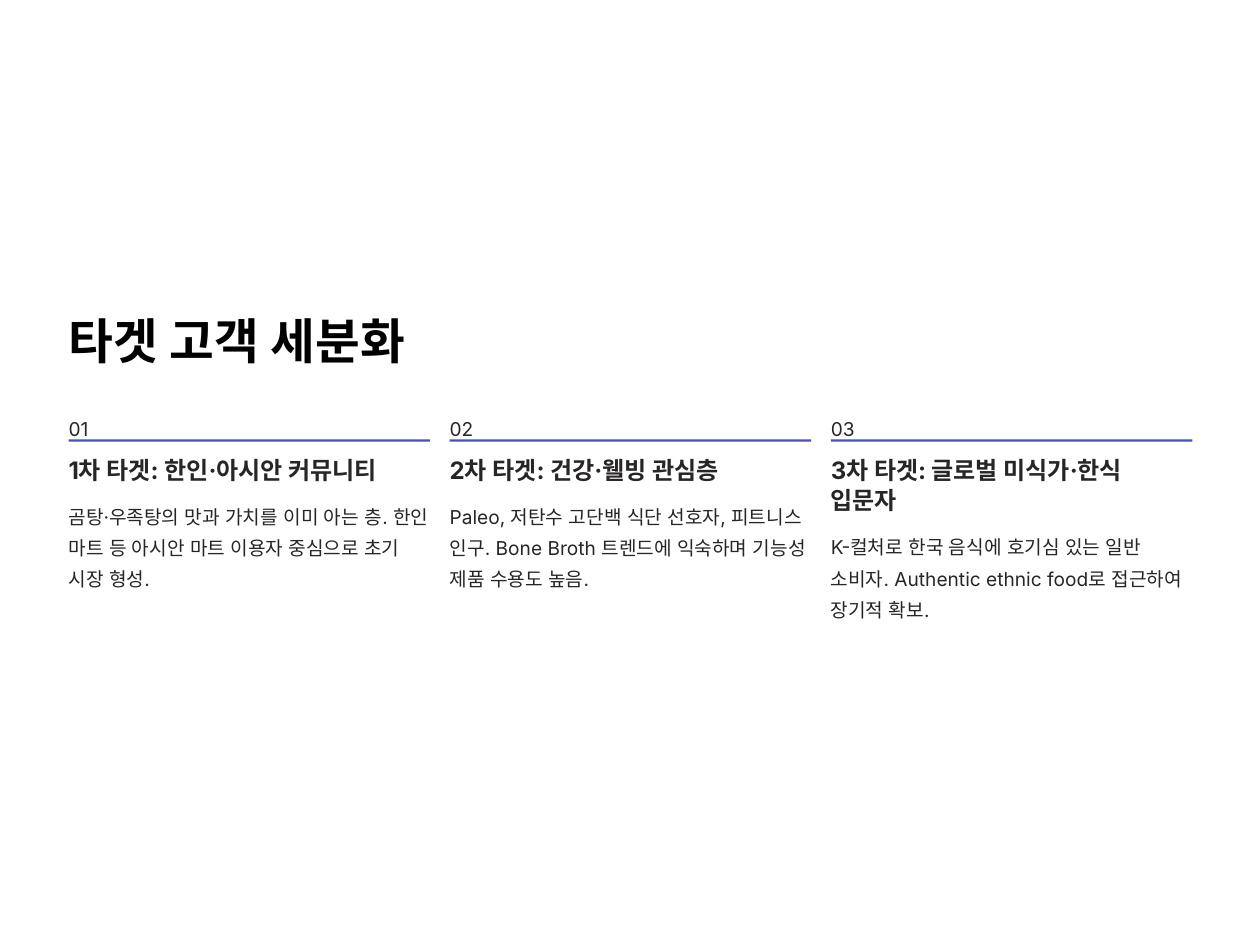
from lxml import etree
from pptx import Presentation
from pptx import util as u
from pptx.dml.color import RGBColor
from pptx.enum import shapes, text
from pptx.oxml import ns

PX = 9144  # EMU per px, 100 px to the inch
WHITE = RGBColor(0xFF, 0xFF, 0xFF)
BLACK = RGBColor(0x00, 0x00, 0x00)
INK = RGBColor(0x27, 0x25, 0x25)
INDIGO = RGBColor(0x49, 0x50, 0xBC)

FONT = "Inter"
TITLE = {"size": u.Pt(44.5), "bold": True, "color": BLACK, "leading": u.Pt(55.5)}
HEADING = {"size": u.Pt(22), "bold": True, "color": INK, "leading": u.Pt(27.5)}
BODY = {"size": u.Pt(17.5), "bold": False, "color": INK, "leading": u.Pt(28.5)}

MARGIN, COLUMN_W, GAP = 87, 459, 25
HEADING_LINE_H = 39

# number, heading, lines the heading takes, description
SEGMENTS = [
    ("01", "1차 타겟: 한인·아시안 커뮤니티", 1,
     "곰탕·우족탕의 맛과 가치를 이미 아는 층. 한인 마트 등 아시안 마트 이용자 중심으로 초기 시장 형성."),
    ("02", "2차 타겟: 건강·웰빙 관심층", 1,
     "Paleo, 저탄수 고단백 식단 선호자, 피트니스 인구. Bone Broth 트렌드에 익숙하며 기능성 제품 수용도 높음."),
    ("03", "3차 타겟: 글로벌 미식가·한식 입문자", 2,
     "K-컬처로 한국 음식에 호기심 있는 일반 소비자. Authentic ethnic food로 접근하여 장기적 확보."),
]


def px(*lengths):
    return [u.Emu(n * PX) for n in lengths]


def write(tf, words, style, wrap=True):
    frame = {"margin_left": 0, "margin_top": 0, "margin_right": 0, "margin_bottom": 0,
             "word_wrap": wrap, "auto_size": text.MSO_AUTO_SIZE.NONE,
             "vertical_anchor": text.MSO_ANCHOR.TOP}
    for name, value in frame.items():
        setattr(tf, name, value)
    p = tf.paragraphs[0]
    p.alignment = text.PP_ALIGN.LEFT
    p.line_spacing = style["leading"]
    r = p.add_run()
    r.text = words
    for name, value in {"size": style["size"], "bold": style["bold"], "name": FONT}.items():
        setattr(r.font, name, value)
    r.font.color.rgb = style["color"]
    # Hangul takes its typeface from the East Asian slot
    latin = r.font._element.find(ns.qn("a:latin"))
    latin.addnext(etree.Element(ns.qn("a:ea"), typeface=FONT))


def add_text(s, box, words, style, wrap=True):
    write(s.shapes.add_textbox(*px(*box)).text_frame, words, style, wrap)


def add_title(s, box, words):
    title = s.shapes.title
    for name, value in zip(("left", "top", "width", "height"), px(*box)):
        setattr(title, name, value)
    write(title.text_frame, words, TITLE, wrap=False)


def add_segment(s, x, y, w, number, heading, lines, description):
    """Number above a rule, then heading and description."""
    add_text(s, (x, y, 25, 31), number, BODY, wrap=False)
    rule = s.shapes.add_shape(shapes.MSO_SHAPE.RECTANGLE, *px(x, y + 38, w, 3))
    rule.shadow.inherit = False
    rule.fill.solid()
    rule.fill.fore_color.rgb = INDIGO
    rule.line.fill.background()
    heading_h = lines * HEADING_LINE_H
    add_text(s, (x, y + 57, w, heading_h), heading, HEADING)
    add_text(s, (x, y + 57 + heading_h + 15, w, 119), description, BODY)


def main():
    prs = Presentation()
    prs.slide_width, prs.slide_height = px(1600, 1200)
    s = prs.slides.add_slide(prs.slide_layouts.get_by_name("Title Only"))
    s.background.fill.solid()
    s.background.fill.fore_color.rgb = WHITE
    add_title(s, (MARGIN, 392, 620, 78), "타겟 고객 세분화")
    for i, segment in enumerate(SEGMENTS):
        add_segment(s, MARGIN + i * (COLUMN_W + GAP), 520, COLUMN_W, *segment)
    prs.save("out.pptx")


if __name__ == "__main__":
    main()
